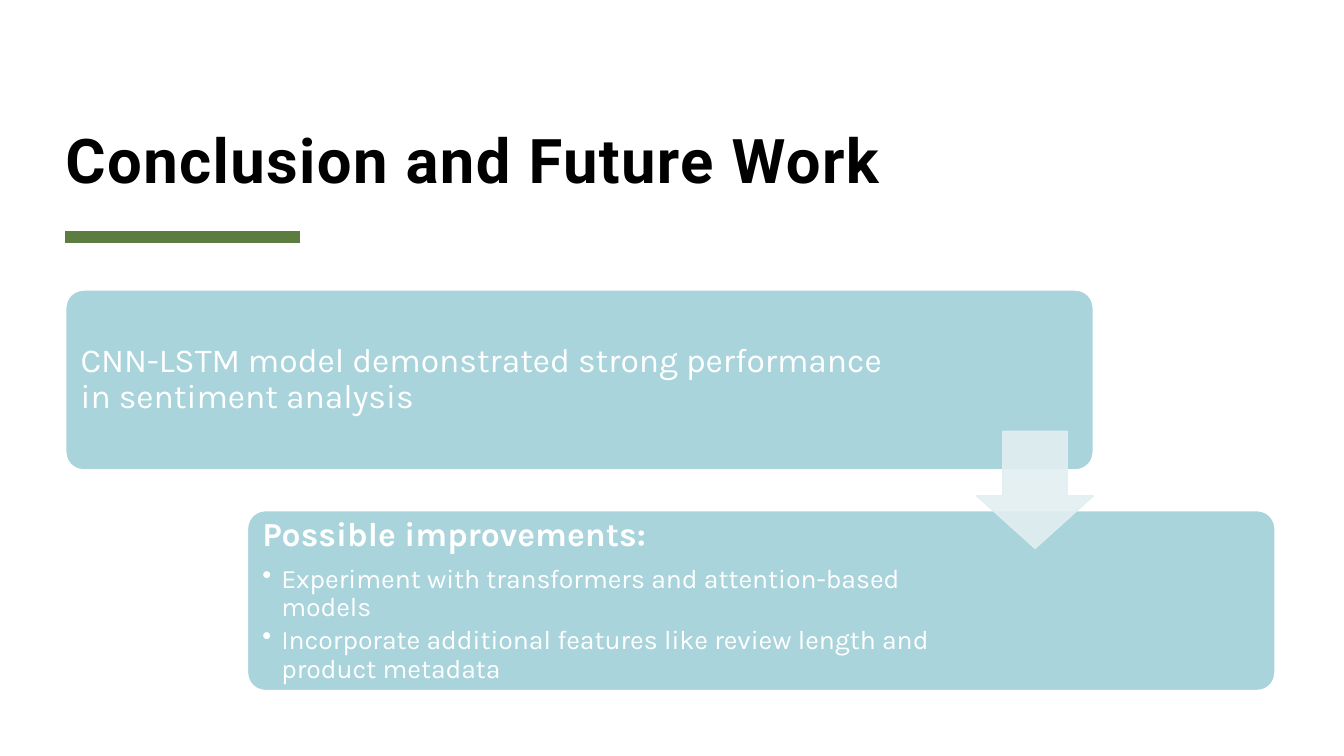
import pptx
import pptx.util
import pptx.dml.color
import pptx.enum.shapes
import pptx.enum.text
import pptx.oxml
import pptx.oxml.ns

Cm, Pt = pptx.util.Cm, pptx.util.Pt
SHAPE = pptx.enum.shapes.MSO_SHAPE
ANCHOR = pptx.enum.text.MSO_ANCHOR
qn = pptx.oxml.ns.qn

TITLE = "Conclusion and Future Work"
STEPS = [
    {"width": 21.21, "lines": [
        ("CNN-LSTM model demonstrated strong performance in sentiment analysis", "plain")]},
    {"width": 18.11, "lines": [
        ("Possible improvements:", "head"),
        ("Experiment with transformers and attention-based models", "bullet"),
        ("Incorporate additional features like review length and product metadata", "bullet")]},
]
COLORS = {"title": "000000", "rule": "5D7D40", "card": "A9D4DB",
          "text": "FFFFFF", "arrow": "E2EFF1"}
FORMATS = {
    "title": {"font": {"name": "Roboto", "size": Pt(44), "bold": True},
              "para": {"line_spacing": 0.8}},
    "plain": {"font": {"name": "Karla", "size": Pt(24), "bold": False},
              "para": {"line_spacing": 0.9, "space_after": Pt(8.4)}},
    "head": {"font": {"name": "Karla", "size": Pt(24), "bold": True},
             "para": {"line_spacing": 0.9, "space_after": Pt(8.4)}},
    "bullet": {"font": {"name": "Karla", "size": Pt(19), "bold": False},
               "para": {"line_spacing": 0.9, "space_after": Pt(2.85), "level": 1}},
}
LEFT, TOP = 1.65, 7.3
CARD_W, CARD_H = 25.91, 4.55
STEP_X, STEP_Y = 4.58, 5.56
PAD, INSET, INDENT = 0.13, 0.25, 0.48
ARROW_SIZE = 2.95


def rgb(name):
    return pptx.dml.color.RGBColor.from_string(COLORS[name])


def set_all(obj, values):
    for key, value in values.items():
        setattr(obj, key, value)


def add_text(s, box, lines, color, anchor, inset):
    tf = s.shapes.add_textbox(*map(Cm, box)).text_frame
    margins = {f"margin_{side}": Cm(inset) for side in ("left", "top", "right", "bottom")}
    set_all(tf, {"word_wrap": True, "vertical_anchor": anchor, **margins})
    for i, (text, style) in enumerate(lines):
        p = tf.paragraphs[0] if i == 0 else tf.add_paragraph()
        set_all(p, FORMATS[style]["para"])
        r = p.add_run()
        r.text = text
        set_all(r.font, FORMATS[style]["font"])
        r.font.color.rgb = rgb(color)
        if style == "bullet":
            pPr = p._p.get_or_add_pPr()
            pPr.set("marL", str(Cm(INDENT)))
            pPr.set("indent", str(-Cm(INDENT)))
            pptx.oxml.ns.qn
            bullet = pPr.makeelement(qn("a:buChar"), {"char": "•"})
            pPr.append(bullet)
    return tf


def add_block(s, kind, box, adjustments, fill, line, width):
    sp = s.shapes.add_shape(kind, *map(Cm, box))
    sp.shadow.inherit = False
    for i, value in enumerate(adjustments):
        sp.adjustments[i] = value
    sp.fill.solid()
    sp.fill.fore_color.rgb = rgb(fill)
    sp.line.color.rgb = rgb(line)
    sp.line.width = Pt(width)
    return sp


def main():
    prs = pptx.Presentation()
    prs.slide_width, prs.slide_height = Cm(33.87), Cm(19.05)
    s = prs.slides.add_slide(prs.slide_layouts[6])

    rule = s.shapes.add_connector(pptx.enum.shapes.MSO_CONNECTOR.STRAIGHT,
                                  Cm(LEFT), Cm(5.97), Cm(7.57), Cm(5.97))
    rule.line.color.rgb = rgb("rule")
    rule.line.width = Pt(8)
    spPr = rule._element.spPr
    spPr.append(spPr.makeelement(qn("a:effectLst"), {}))

    tf = add_text(s, (LEFT, 0.56, 30.48, 4.37), [(TITLE, "title")],
                  "title", ANCHOR.BOTTOM, 0)
    tf.paragraphs[0].runs[0].font._element.set("spc", "100")

    for i, step in enumerate(STEPS):
        x, y = LEFT + i * STEP_X, TOP + i * STEP_Y
        add_block(s, SHAPE.ROUNDED_RECTANGLE, (x, y, CARD_W, CARD_H), [0.1],
                  "card", "text", 1.5)
        add_text(s, (x + PAD, y + PAD, step["width"], CARD_H - 2 * PAD),
                 step["lines"], "text", ANCHOR.MIDDLE, INSET)

    arrow_x = LEFT + CARD_W - ARROW_SIZE
    arrow = add_block(s, SHAPE.DOWN_ARROW, (arrow_x, 10.87, ARROW_SIZE, ARROW_SIZE),
                      [0.55, 0.45], "arrow", "arrow", 1)
    for color in arrow._element.spPr.iter(qn("a:srgbClr")):
        color.append(color.makeelement(qn("a:alpha"), {"val": "90000"}))

    prs.save("out.pptx")


if __name__ == "__main__":
    main()
